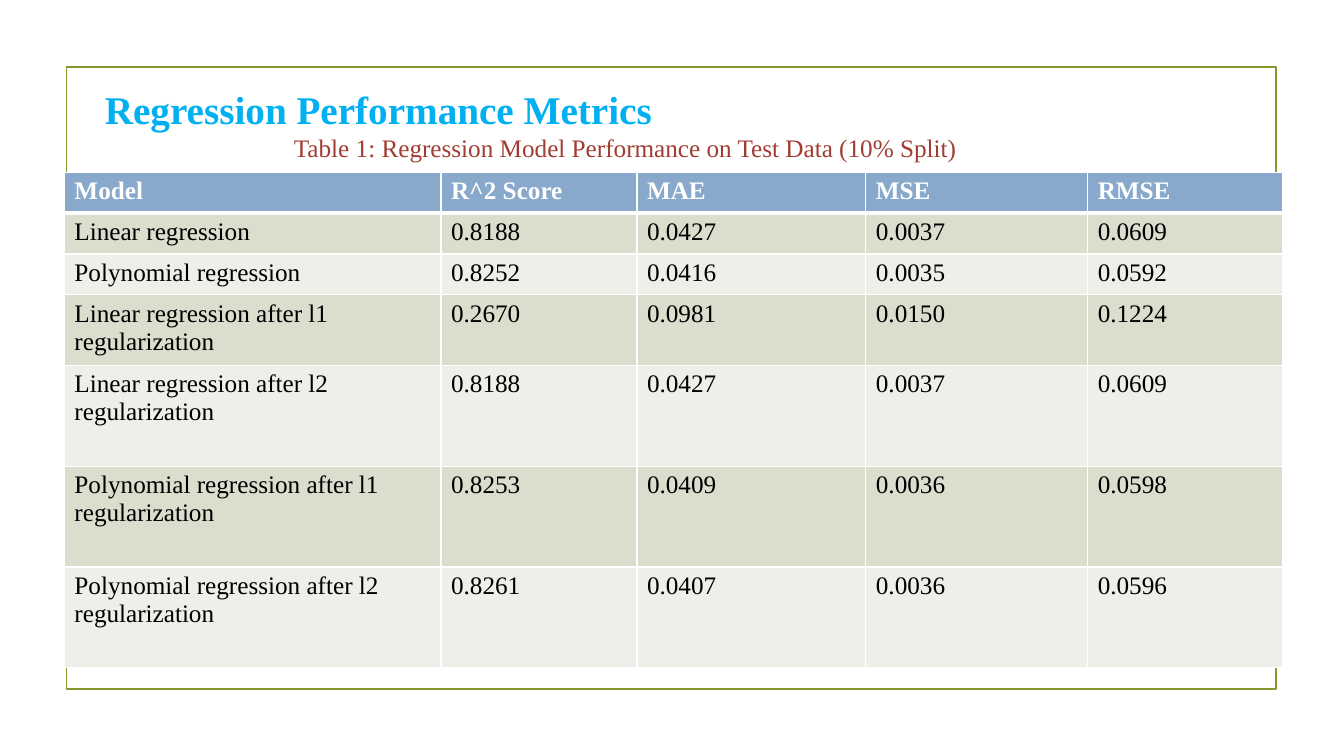
from lxml import etree
from pptx import Presentation
from pptx.dml.color import RGBColor
from pptx.enum.shapes import MSO_SHAPE
from pptx.enum.text import MSO_ANCHOR, MSO_AUTO_SIZE, PP_ALIGN
from pptx.oxml.ns import qn
from pptx.util import Pt

RECTANGLE = MSO_SHAPE.RECTANGLE
TOP = MSO_ANCHOR.TOP
LEFT = PP_ALIGN.LEFT
NO_AUTOFIT = MSO_AUTO_SIZE.NONE

FONT = "Times New Roman"
HEADER_FILL = "88A9CB"
BAND_FILLS = ["D9DECD", "EDEFE8"]
COLUMN_WIDTHS = [269, 140, 163.5, 158.5, 139]
ROW_HEIGHTS = [29.2, 29.2, 29.2, 50.4, 72, 72, 72]
METRICS = [
    ["Model", "R^2 Score", "MAE", "MSE", "RMSE"],
    ["Linear regression", "0.8188", "0.0427", "0.0037", "0.0609"],
    ["Polynomial regression", "0.8252", "0.0416", "0.0035", "0.0592"],
    ["Linear regression after l1 regularization", "0.2670", "0.0981", "0.0150", "0.1224"],
    ["Linear regression after l2 regularization", "0.8188", "0.0427", "0.0037", "0.0609"],
    ["Polynomial regression after l1 regularization", "0.8253", "0.0409", "0.0036", "0.0598"],
    ["Polynomial regression after l2 regularization", "0.8261", "0.0407", "0.0036", "0.0596"],
]


def write(para, text, color, **font_format):
    """Add a left-aligned span to the paragraph and format its font."""
    para.alignment = LEFT
    span = para.add_run()
    span.text = text
    span.font.color.rgb = RGBColor.from_string(color)
    for name, value in {"name": FONT, "size": Pt(18), "bold": False, **font_format}.items():
        setattr(span.font, name, value)


def add_border(cell, side, width):
    """Draw a white line on one side (L, R, T or B) of the cell."""
    line = etree.SubElement(cell._tc.get_or_add_tcPr(), qn(f"a:ln{side}"), w=str(Pt(width)))
    fill = etree.SubElement(line, qn("a:solidFill"))
    etree.SubElement(fill, qn("a:srgbClr"), val="FFFFFF")


deck = Presentation()
deck.slide_width, deck.slide_height = Pt(960), Pt(540)
page = deck.slides.add_slide(deck.slide_layouts[5])

# Frame
frame = page.shapes.add_shape(RECTANGLE, Pt(47.5), Pt(48), Pt(864), Pt(444))
frame.shadow.inherit = False
frame.fill.background()
frame.line.color.rgb = RGBColor.from_string("83992A")
frame.line.width = Pt(1.25)

# Title and table caption
title = page.shapes.title
title.left, title.top, title.width, title.height = Pt(67.7), Pt(57.6), Pt(856.8), Pt(63.4)
title_format = {"word_wrap": True, "auto_size": NO_AUTOFIT, "vertical_anchor": TOP}
for name, value in title_format.items():
    setattr(title.text_frame, name, value)
write(title.text_frame.paragraphs[0], "Regression Performance Metrics", "00B0F0",
      size=Pt(28), bold=True)
caption = title.text_frame.add_paragraph()
caption.line_spacing = 1.0
caption._p.get_or_add_pPr().set("marL", str(Pt(135)))
write(caption, "Table 1: Regression Model Performance on Test Data (10% Split)", "A23C33")

# Metrics table
table = page.shapes.add_table(
    len(ROW_HEIGHTS), len(COLUMN_WIDTHS), Pt(46), Pt(123),
    Pt(sum(COLUMN_WIDTHS)), Pt(sum(ROW_HEIGHTS))).table
for column, width in zip(table.columns, COLUMN_WIDTHS):
    column.width = Pt(width)
for row_index, (row, height, values) in enumerate(zip(table.rows, ROW_HEIGHTS, METRICS)):
    row.height = Pt(height)
    is_header = row_index == 0
    fill_color = HEADER_FILL if is_header else BAND_FILLS[(row_index - 1) % 2]
    text_color = "FFFFFF" if is_header else "000000"
    for cell, value in zip(row.cells, values):
        for side in "LRTB":
            thick = (is_header and side == "B") or (row_index == 1 and side == "T")
            add_border(cell, side, 3 if thick else 1)
        cell.fill.solid()
        cell.fill.fore_color.rgb = RGBColor.from_string(fill_color)
        write(cell.text_frame.paragraphs[0], value, text_color, bold=is_header)

deck.save("out.pptx")
